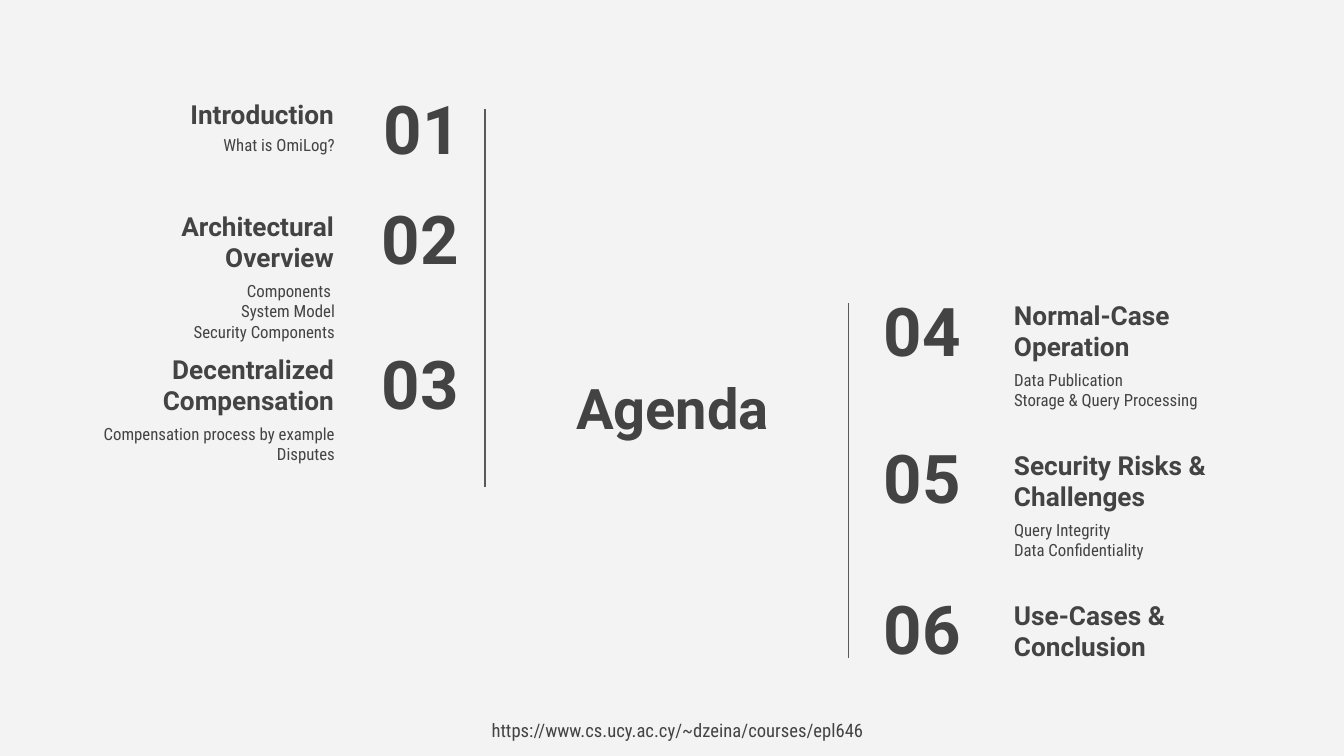
from lxml import etree
from pptx import Presentation
from pptx import util as u
from pptx.dml.color import RGBColor
from pptx.enum import shapes, text
from pptx.oxml.ns import qn

EMU_PER_PX = 914400 / 100.8
LEFT, CENTER, RIGHT = text.PP_ALIGN.LEFT, text.PP_ALIGN.CENTER, text.PP_ALIGN.RIGHT
TOP, MIDDLE, BOTTOM = text.MSO_ANCHOR.TOP, text.MSO_ANCHOR.MIDDLE, text.MSO_ANCHOR.BOTTOM


def px(length):
    return u.Emu(round(length * EMU_PER_PX))


def color(value):
    return RGBColor.from_string(value)


class AgendaSlide:
    HEADING_FONT = "Roboto"
    BODY_FONT = "Roboto Condensed"
    INK = "434343"
    RULE = "595959"
    PAPER = "F3F3F3"

    def __init__(self, deck):
        self.page = deck.slides.add_slide(deck.slide_layouts[6])
        fill = self.page.background.fill
        fill.solid()
        fill.fore_color.rgb = color(self.PAPER)

    def label(self, words, area, size, align, anchor=TOP, bold=False, inset=(13, 13)):
        """Add text in area (left, top, width, height); bold text takes the heading font."""
        box = self.page.shapes.add_textbox(*map(px, area))
        frame = box.text_frame
        frame.word_wrap = True
        frame.vertical_anchor = anchor
        frame.margin_left = frame.margin_right = px(inset[0])
        frame.margin_top = frame.margin_bottom = px(inset[1])
        frame.text = words
        for para in frame.paragraphs:
            para.alignment = align
            for span in para.runs:
                span.font.name = self.HEADING_FONT if bold else self.BODY_FONT
                span.font.size = u.Pt(size)
                span.font.bold = bold
                span.font.color.rgb = color(self.INK)

    def title(self, words, area):
        self.label(words, area, 40, CENTER, MIDDLE, bold=True)

    def number(self, words, area, align):
        self.label(words, area, 48, align, MIDDLE, bold=True)

    def heading(self, words, area, align):
        self.label(words, area, 18.7, align, BOTTOM, bold=True)

    def divider(self, x, top, bottom):
        line = self.page.shapes.add_connector(
            shapes.MSO_CONNECTOR.STRAIGHT, px(x), px(top), px(x), px(bottom))
        line.line.color.rgb = color(self.RULE)
        line.line.width = u.Pt(0.75)
        etree.SubElement(line._element.spPr, qn("a:effectLst"))


# number, number left, number top, heading top, heading, details
LEFT_TOPICS = [
    ("01", 311, 85, 58, "Introduction", "What is OmiLog?"),
    ("02", 309, 195, 201, "Architectural Overview",
     "Components \nSystem Model\nSecurity Components"),
    ("03", 309, 340, 344, "Decentralized Compensation",
     "Compensation process by example\vDisputes"),
]
RIGHT_TOPICS = [
    ("04", 871, 287, 290, "Normal-Case Operation",
     "Data Publication\nStorage & Query Processing"),
    ("05", 871, 434, 440, "Security Risks & Challenges",
     "Query Integrity\nData Confidentiality"),
    ("06", 871, 585, 590, "Use-Cases & Conclusion", ""),
]
# topics, alignment, number width, heading left, details left, details width
COLUMNS = [
    (LEFT_TOPICS, RIGHT, 163, 57, 84, 264),
    (RIGHT_TOPICS, LEFT, 157, 1001, 1001, 246),
]
HEADING_WIDTH, ROW_HEIGHT, DETAILS_DROP = 290, 85, 67


def main():
    deck = Presentation()
    deck.slide_width, deck.slide_height = px(1344), px(756)
    slide = AgendaSlide(deck)

    slide.title("Agenda", (498, 338, 349, 139))
    for topics, align, number_width, heading_left, details_left, details_width in COLUMNS:
        for number, number_left, number_top, top, heading, details in topics:
            slide.number(number, (number_left, number_top, number_width, ROW_HEIGHT), align)
            slide.heading(heading, (heading_left, top, HEADING_WIDTH, ROW_HEIGHT), align)
            if details:
                area = (details_left, top + DETAILS_DROP, details_width, ROW_HEIGHT)
                slide.label(details, area, 12, align)

    slide.divider(485, 109, 487)
    slide.divider(849, 303, 658)
    slide.label("https://www.cs.ucy.ac.cy/~dzeina/courses/epl646",
                (448, 714, 426, 33), 13.3, RIGHT, inset=(10, 5))
    deck.save("out.pptx")


if __name__ == "__main__":
    main()
